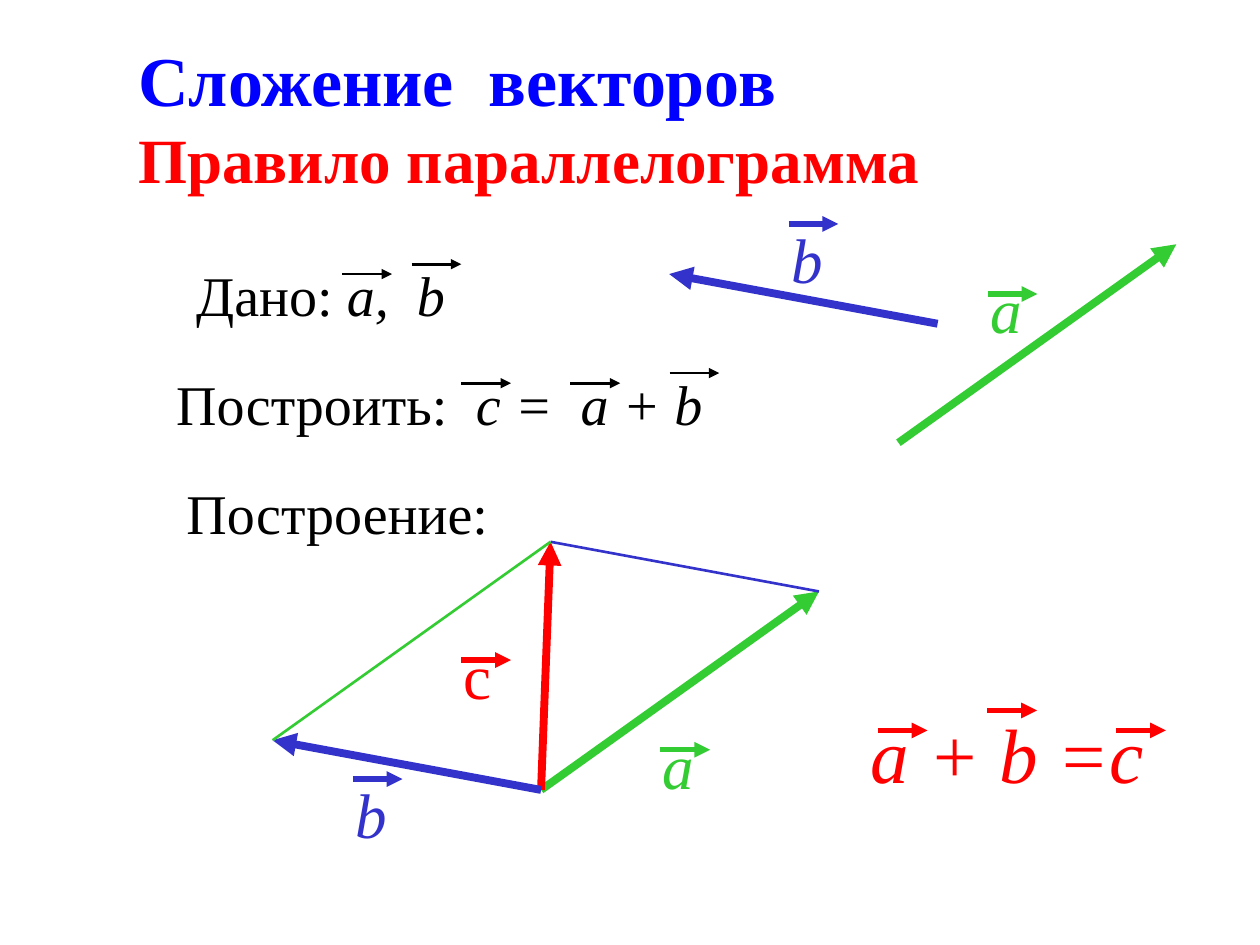
from lxml.etree import SubElement
from pptx import Presentation
from pptx.dml.color import RGBColor
from pptx.enum.shapes import MSO_CONNECTOR
from pptx.enum.text import MSO_ANCHOR
from pptx.oxml.ns import qn
from pptx.util import Pt

FONT = "Times New Roman"
BLACK, RED, GREEN, BLUE = "000000", "FF0000", "33CC33", "3333CC"
VECTOR_A = (158.8, -113.4)
VECTOR_B = (-153.4, -28.4)
BAR_LENGTH = 28.4


def rgb(value):
    """Return the colour for a hex string."""
    return RGBColor.from_string(value)


def shifted(point, offset):
    """Return a point moved by an offset."""
    return point[0] + offset[0], point[1] + offset[1]


def add_line(page, start, end, color, width, arrow=True):
    """Draw a straight line, by default with an arrowhead at its end."""
    line = page.shapes.add_connector(
        MSO_CONNECTOR.STRAIGHT, *(Pt(value) for value in (*start, *end)))
    line.line.color.rgb = rgb(color)
    line.line.width = Pt(width)
    if arrow:
        SubElement(line.line._get_or_add_ln(), qn("a:tailEnd"), type="triangle")
    SubElement(line._element.spPr, qn("a:effectLst"))


def add_frame(page, box):
    """Add an empty wrapping text box and return its text frame."""
    frame = page.shapes.add_textbox(*(Pt(value) for value in box)).text_frame
    frame.word_wrap = True
    return frame


def add_span(para, text, size, color, bold=False, italic=False):
    """Append one formatted run to a paragraph."""
    span = para.add_run()
    span.text = text
    span.font.name = FONT
    span.font.size = Pt(size)
    span.font.bold = bold
    span.font.italic = italic
    span.font.color.rgb = rgb(color)


def add_heading(page, box):
    """Place the two-line heading."""
    frame = add_frame(page, box)
    frame.vertical_anchor = MSO_ANCHOR.MIDDLE
    para = frame.paragraphs[0]
    add_span(para, "Сложение  векторов", 40, "0000FF", bold=True)
    para.add_line_break()
    add_span(para, "Правило параллелограмма", 36, RED, bold=True)


def add_expression(page, box, plain, italic, size, color, bars=()):
    """Write upright then italic text, with vector bars as (x, y, width) in the box."""
    para = add_frame(page, box).paragraphs[0]
    if plain:
        add_span(para, plain, size, color)
    if italic:
        add_span(para, italic, size, color, italic=True)
    for x, y, width in bars:
        start = shifted(box[:2], (x, y))
        add_line(page, start, shifted(start, (BAR_LENGTH, 0)), color, width)


def add_label(page, corner, plain, italic, color, bar_top):
    """Place a one-letter vector name with its bar."""
    add_expression(page, (*corner, 45.4, 50.4), plain, italic, 36, color,
                   [(5.6, bar_top, 3)])


def add_given_vectors(page, box):
    """Draw the two given vectors with their names."""
    corner = box[:2]
    start_a = shifted(corner, (131, 113.4))
    start_b = shifted(corner, (153.4, 45.4))
    add_line(page, start_a, shifted(start_a, VECTOR_A), GREEN, 4.5)
    add_label(page, shifted(corner, (176.4, 11.6)), "", "a", GREEN, 16.8)
    add_line(page, start_b, shifted(start_b, VECTOR_B), BLUE, 4.5)
    add_label(page, shifted(corner, (62.6, -17.2)), "", "b", BLUE, 5.6)


def add_parallelogram(page, box):
    """Build the parallelogram on both vectors and its diagonal."""
    left, top, width, height = box
    origin = (left - VECTOR_B[0], top + height)
    end_a = shifted(origin, VECTOR_A)
    end_b = shifted(origin, VECTOR_B)
    end_c = shifted(end_a, VECTOR_B)
    add_line(page, origin, end_a, GREEN, 4.5)
    add_label(page, shifted(origin, (62.6, -39.8)), "", "a", GREEN, 16.8)
    add_line(page, end_a, end_c, BLUE, 1.5, arrow=False)
    add_label(page, shifted(origin, (-51.2, -91)), "с", "", RED, 16.8)
    add_line(page, origin, end_c, RED, 4.5)
    add_line(page, origin, end_b, BLUE, 4.5)
    add_label(page, shifted(origin, (-113.2, -11.8)), "", "b", BLUE, 5.6)
    add_line(page, end_b, end_c, GREEN, 1.5, arrow=False)


def main():
    """Build and save the slide."""
    deck = Presentation()
    deck.slide_width, deck.slide_height = Pt(720), Pt(540)
    page = deck.slides.add_slide(deck.slide_layouts[6])
    add_heading(page, (72, 21.6, 612, 90))
    add_given_vectors(page, (382.4, 139.6, 289.4, 113.4))
    add_expression(page, (490.4, 400.4, 181.4, 60.4), "", "a + b =c", 44, RED,
                   [(11.2, 17, 3), (73.8, 5.6, 3), (147.4, 17, 3)])
    add_expression(page, (105, 145.4, 238.4, 46), "Дано: ", "a,  b", 32, BLACK,
                   [(90.6, 11.2, 1), (130.2, 5.6, 1.5)])
    add_expression(page, (93.6, 207.6, 334.8, 46), "Построить:  ", "c =  a + b", 32,
                   BLACK, [(170, 11.4, 1.5), (232.4, 11.4, 1.5), (289, 5.6, 1.5)])
    add_expression(page, (99.4, 270, 260.6, 46), "Построение:", "", 32, BLACK)
    add_parallelogram(page, (155.8, 309.6, 312.2, 141.8))
    deck.save("out.pptx")


if __name__ == "__main__":
    main()
